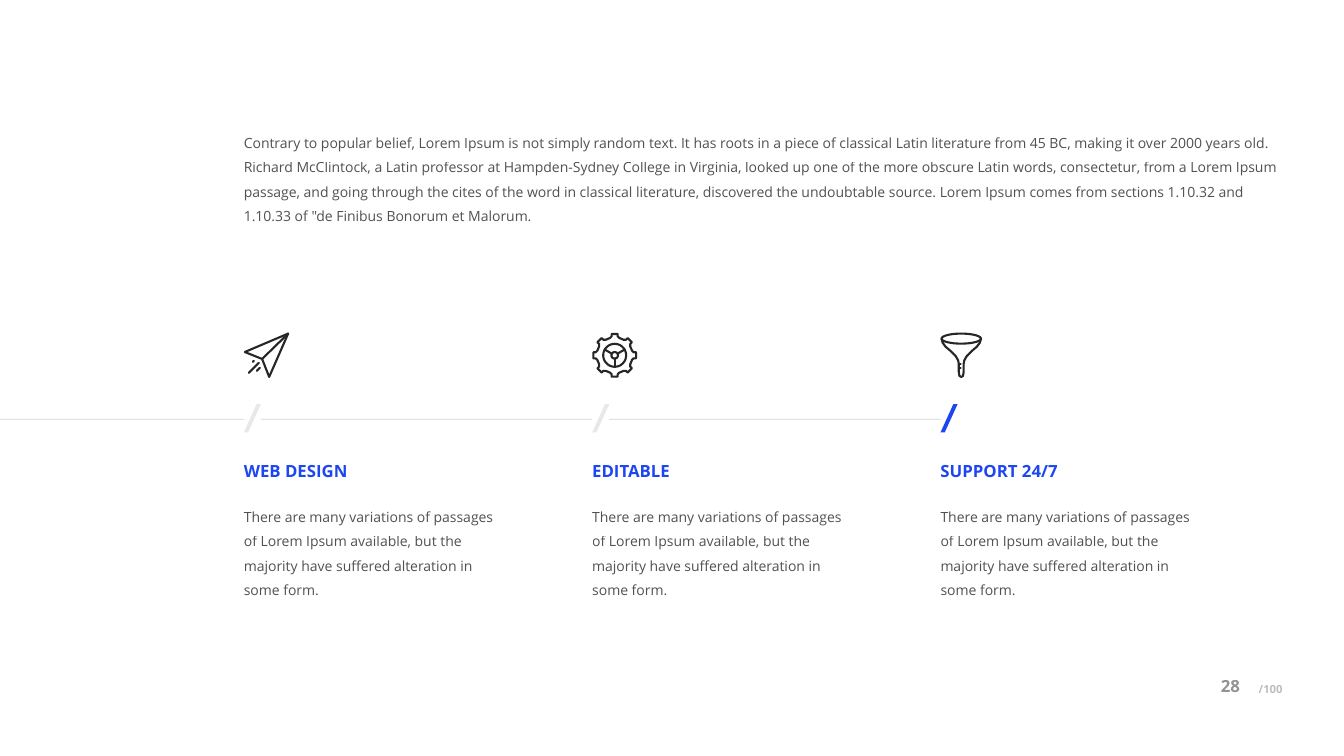
import math

from pptx import Presentation
from pptx import util as u
from pptx.dml.color import RGBColor
from pptx.enum import shapes, text
from pptx.oxml.ns import qn
from pptx.oxml.xmlchemy import OxmlElement

INK = RGBColor(0x26, 0x26, 0x26)
BLUE = RGBColor(0x1D, 0x46, 0xF3)

COLUMN = u.Inches(0.3455)
ROW = u.Inches(0.25)
FIRST_COLUMN = 7
STEP_COLUMNS = 10
SLASH_WIDTH = 0.49
LINE_ROW = 16.64

INTRO = (
    "Contrary to popular belief, Lorem Ipsum is not simply random text. It has roots in a "
    "piece of classical Latin literature from 45 BC, making it over 2000 years old. Richard "
    "McClintock, a Latin professor at Hampden-Sydney College in Virginia, looked up one of "
    "the more obscure Latin words, consectetur, from a Lorem Ipsum passage, and going through "
    "the cites of the word in classical literature, discovered the undoubtable source. Lorem "
    'Ipsum comes from sections 1.10.32 and 1.10.33 of "de Finibus Bonorum et Malorum.'
)
STEP_TEXT = (
    "There are many variations of passages of Lorem Ipsum available, but the majority have "
    "suffered alteration in some form."
)


# Icon strokes, in thousandths of an inch
def polar(center, radius, degrees):
    angle = math.radians(degrees)
    return center[0] + radius * math.cos(angle), center[1] + radius * math.sin(angle)


def ellipse(center, radius_x, radius_y):
    turns = [math.radians(degrees) for degrees in range(0, 361, 10)]
    return [(center[0] + radius_x * math.cos(turn), center[1] + radius_y * math.sin(turn))
            for turn in turns]


def plane_strokes():
    nose, fold = (440, 10), (182, 262)
    return [
        [nose, (10, 193), fold, (252, 440), nose],
        [fold, nose],
        [(50, 400), (150, 300)],
        [(130, 380), (160, 350)],
        [(90, 290), (100, 280)],
    ]


def gear_strokes():
    center, hub, ring = (223, 225), 32, 114
    tooth = [(178, -15), (190, -9), (214, -8), (214, 8), (190, 9), (178, 15)]
    rim = [polar(center, radius, turn + offset)
           for turn in range(0, 360, 45) for radius, offset in tooth]
    spokes = [[polar(center, hub, turn), polar(center, ring, turn)] for turn in (90, 210, 330)]
    return [rim + rim[:1], ellipse(center, ring, ring), ellipse(center, hub, hub)] + spokes


def funnel_strokes():
    left = [(10, 60), (20, 100), (50, 140), (100, 183), (150, 233), (174, 275),
            (181, 310), (181, 390), (187, 430), (205, 440)]
    right = [(410 - x, y) for x, y in reversed(left)]
    ticks = [[(181, y), (200, y)] for y in (310, 355)]
    return [ellipse((205, 60), 195, 50), left + right] + ticks


class SlideBuilder:
    font_name = "Open Sans"

    def __init__(self, slide):
        self.slide = slide

    def place(self, column, row):
        return round(column * COLUMN), round(row * ROW)

    def fade(self, element, opacity):
        if opacity < 100:
            for color in element.iter(qn("a:srgbClr")):
                alpha = OxmlElement("a:alpha")
                alpha.set("val", str(opacity * 1000))
                color.append(alpha)

    def label(self, column, row, columns, rows, words, size, color=INK, opacity=100,
              bold=False, wrap=True, spacing=None, padding=0.05,
              anchor=text.MSO_ANCHOR.TOP, align=text.PP_ALIGN.LEFT):
        shape = self.slide.shapes.add_textbox(*self.place(column, row),
                                              *self.place(columns, rows))
        frame = shape.text_frame
        frame.word_wrap = wrap
        frame.vertical_anchor = anchor
        frame.margin_left = frame.margin_right = 0
        frame.margin_top = frame.margin_bottom = u.Inches(padding)
        paragraph = frame.paragraphs[0]
        paragraph.alignment = align
        paragraph.line_spacing = spacing
        run = paragraph.add_run()
        run.text = words
        run.font.name = self.font_name
        run.font.size = u.Pt(size)
        run.font.bold = bold
        run.font.color.rgb = color
        self.fade(run._r, opacity)

    def body(self, column, row, columns, words):
        self.label(column, row, columns, 5.2, words, 10, opacity=80, spacing=1.45)

    def page_label(self, column, row, words, size, opacity, align):
        self.label(column, row, 1.62, 1, words, size, opacity=opacity, bold=True,
                   padding=0, anchor=text.MSO_ANCHOR.MIDDLE, align=align)

    def slash(self, column, row, color, opacity):
        shape = self.slide.shapes.add_shape(
            shapes.MSO_SHAPE.PARALLELOGRAM, *self.place(column, row),
            *self.place(SLASH_WIDTH, 1.12))
        shape.adjustments[0] = 0.75
        shape.shadow.inherit = False
        shape.fill.solid()
        shape.fill.fore_color.rgb = color
        shape.line.fill.background()
        self.fade(shape._element, opacity)

    def line(self, start, end, row):
        connector = self.slide.shapes.add_connector(
            shapes.MSO_CONNECTOR.STRAIGHT, *self.place(start, row), *self.place(end, row))
        connector.line.color.rgb = INK
        connector.line.width = u.Pt(0.5)
        connector._element.spPr.append(OxmlElement("a:effectLst"))
        self.fade(connector._element, 20)

    def icon(self, column, row, strokes):
        builder = self.slide.shapes.build_freeform(*strokes[0][0], scale=u.Inches(1) / 1000)
        for index, stroke in enumerate(strokes):
            if index:
                builder.move_to(*stroke[0])
            builder.add_line_segments(stroke[1:], close=stroke[0] == stroke[-1])
        shape = builder.convert_to_shape(*self.place(column, row))
        shape.shadow.inherit = False
        shape.fill.background()
        shape.line.color.rgb = INK
        shape.line.width = u.Pt(1.5)
        outline = shape._element.spPr.find(qn("a:ln"))
        outline.set("cap", "rnd")
        outline.append(OxmlElement("a:round"))


def main():
    presentation = Presentation()
    presentation.slide_width = u.Inches(13.33)
    presentation.slide_height = u.Inches(7.5)
    slide = presentation.slides.add_slide(presentation.slide_layouts[6])
    builder = SlideBuilder(slide)

    # Page number
    builder.page_label(35.2, 26.84, "/100", 8, 30, text.PP_ALIGN.RIGHT)
    builder.page_label(35.05, 26.72, "28", 12, 50, text.PP_ALIGN.LEFT)

    # Introduction
    builder.body(FIRST_COLUMN, 4.84, 29.78, INTRO)

    # Steps along the line
    steps = [
        ("WEB DESIGN", plane_strokes(), INK, 10),
        ("EDITABLE", gear_strokes(), INK, 10),
        ("SUPPORT 24/7", funnel_strokes(), BLUE, 100),
    ]
    line_start = 0
    for index, (heading, strokes, slash_color, opacity) in enumerate(steps):
        column = FIRST_COLUMN + index * STEP_COLUMNS
        builder.line(line_start, column, LINE_ROW)
        builder.slash(column, 16.04, slash_color, opacity)
        builder.icon(column, 13.2, strokes)
        builder.label(column, 18.08, 3.4, 1.2, heading, 12, BLUE, bold=True, wrap=False)
        builder.body(column, 19.68, 7.2, STEP_TEXT)
        line_start = column + SLASH_WIDTH

    presentation.save("out.pptx")


if __name__ == "__main__":
    main()
